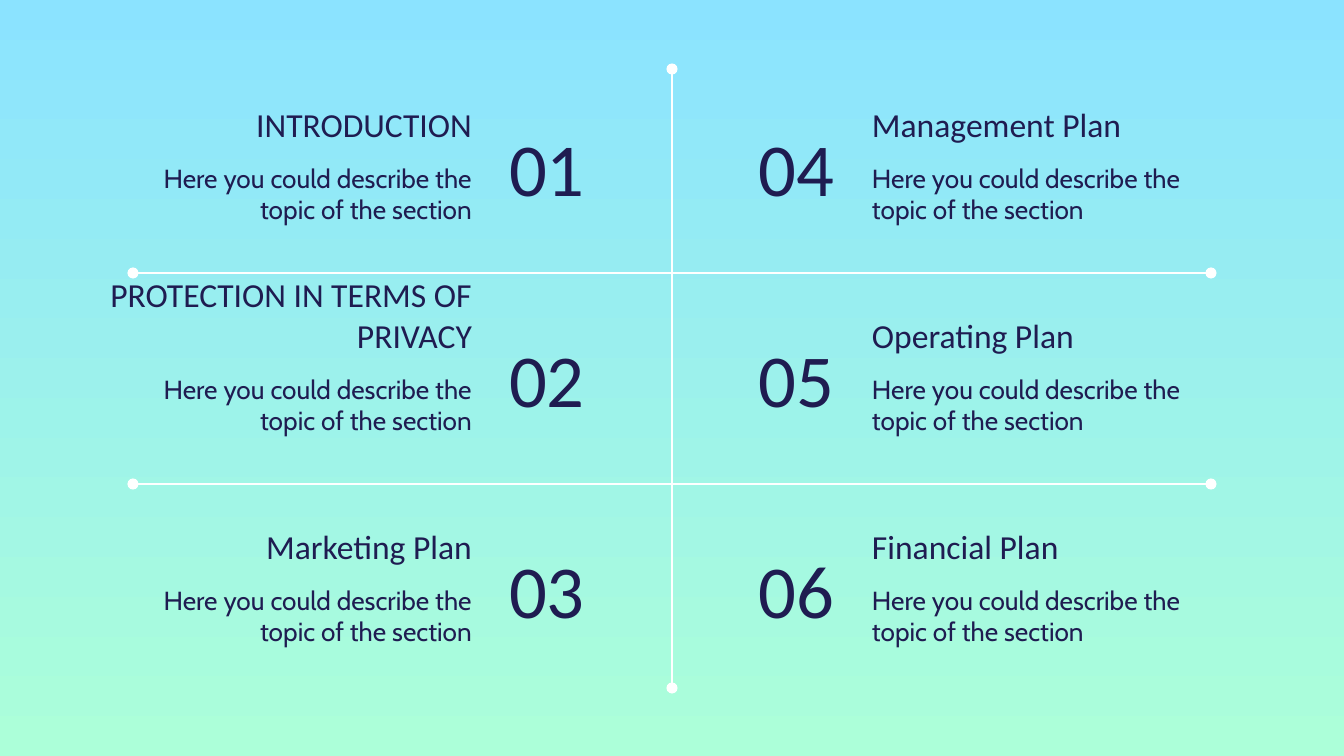
from lxml import etree
from pptx import Presentation
from pptx.dml.color import RGBColor
from pptx.enum.shapes import MSO_CONNECTOR
from pptx.enum.text import MSO_ANCHOR, PP_ALIGN
from pptx.oxml.ns import qn
from pptx.util import Pt

SCALE = 914400 / 134.4
PAGE_WIDTH, PAGE_HEIGHT = 1344, 756
CENTER = PAGE_WIDTH // 2
ROW_PITCH = 211
INSET = 13
HEADING_WIDTH, NUMBER_WIDTH = 400, 175

NAVY = RGBColor(0x1F, 0x1C, 0x51)
WHITE = RGBColor(0xFF, 0xFF, 0xFF)
SKY = RGBColor(0x8B, 0xE3, 0xFF)
MINT = RGBColor(0xAC, 0xFF, 0xD9)

LEFT, RIGHT = PP_ALIGN.LEFT, PP_ALIGN.RIGHT
TOP, MIDDLE, BOTTOM = MSO_ANCHOR.TOP, MSO_ANCHOR.MIDDLE, MSO_ANCHOR.BOTTOM
STRAIGHT = MSO_CONNECTOR.STRAIGHT

DESCRIPTION = ["Here you could describe the", "topic of the section"]
COLUMNS = [
    (["INTRODUCTION", "PROTECTION IN TERMS OF PRIVACY", "Marketing Plan"],
     85, 496, RIGHT, LEFT),
    (["Management Plan", "Operating Plan", "Financial Plan"],
     859, CENTER, LEFT, RIGHT),
]


def px(length):
    """Turn a length in px into EMU."""
    return round(length * SCALE)


def paint_background(page):
    """Fill the page with a gradient running from top to bottom."""
    fill = page.background.fill
    fill.gradient()
    fill.gradient_angle = 270
    for stop, color in zip(fill.gradient_stops, (SKY, MINT)):
        stop.color.rgb = color


def add_text(page, bounds, lines, font, size, align, anchor):
    """Add a text box with one paragraph per line."""
    box = page.shapes.add_textbox(*map(px, bounds))
    frame = box.text_frame
    frame.word_wrap = True
    frame.vertical_anchor = anchor
    frame.margin_left = frame.margin_right = px(INSET)
    frame.margin_top = frame.margin_bottom = px(INSET)
    for index, line in enumerate(lines):
        para = frame.add_paragraph() if index else frame.paragraphs[0]
        para.alignment = align
        span = para.add_run()
        span.text = line
        span.font.name = font
        span.font.size = Pt(size)
        span.font.color.rgb = NAVY


def add_divider(page, *ends):
    """Add a white line with a dot at each end."""
    divider = page.shapes.add_connector(STRAIGHT, *map(px, ends))
    divider.line.color.rgb = WHITE
    divider.line.width = Pt(1.5)
    outline = divider.line._get_or_add_ln()
    for tag in ("a:headEnd", "a:tailEnd"):
        etree.SubElement(outline, qn(tag), type="oval")
    etree.SubElement(divider._element.spPr, qn("a:effectLst"))


def add_section(page, number, heading, row, column):
    """Add the number, heading and description of one section."""
    heading_left, number_left, heading_align, number_align = column
    shift = row * ROW_PITCH
    add_text(page, (number_left, 109 + shift, NUMBER_WIDTH, 116),
             [f"{number:02}"], "Calibri", 40, number_align, MIDDLE)
    add_text(page, (heading_left, 90 + shift, HEADING_WIDTH, 67),
             [heading], "Calibri", 18, heading_align, BOTTOM)
    add_text(page, (heading_left, 149 + shift, HEADING_WIDTH, 93),
             DESCRIPTION, "Cabin", 14, heading_align, TOP)


def main():
    """Build the contents page and save it."""
    deck = Presentation()
    deck.slide_width, deck.slide_height = px(PAGE_WIDTH), px(PAGE_HEIGHT)
    page = deck.slides.add_slide(deck.slide_layouts[6])
    paint_background(page)
    add_divider(page, CENTER, 69, CENTER, 688)
    for row in range(2):
        height = 273 + row * ROW_PITCH
        add_divider(page, 133, height, PAGE_WIDTH - 133, height)
    number = 1
    for headings, *column in COLUMNS:
        for row, heading in enumerate(headings):
            add_section(page, number, heading, row, column)
            number += 1
    deck.save("out.pptx")


if __name__ == "__main__":
    main()
